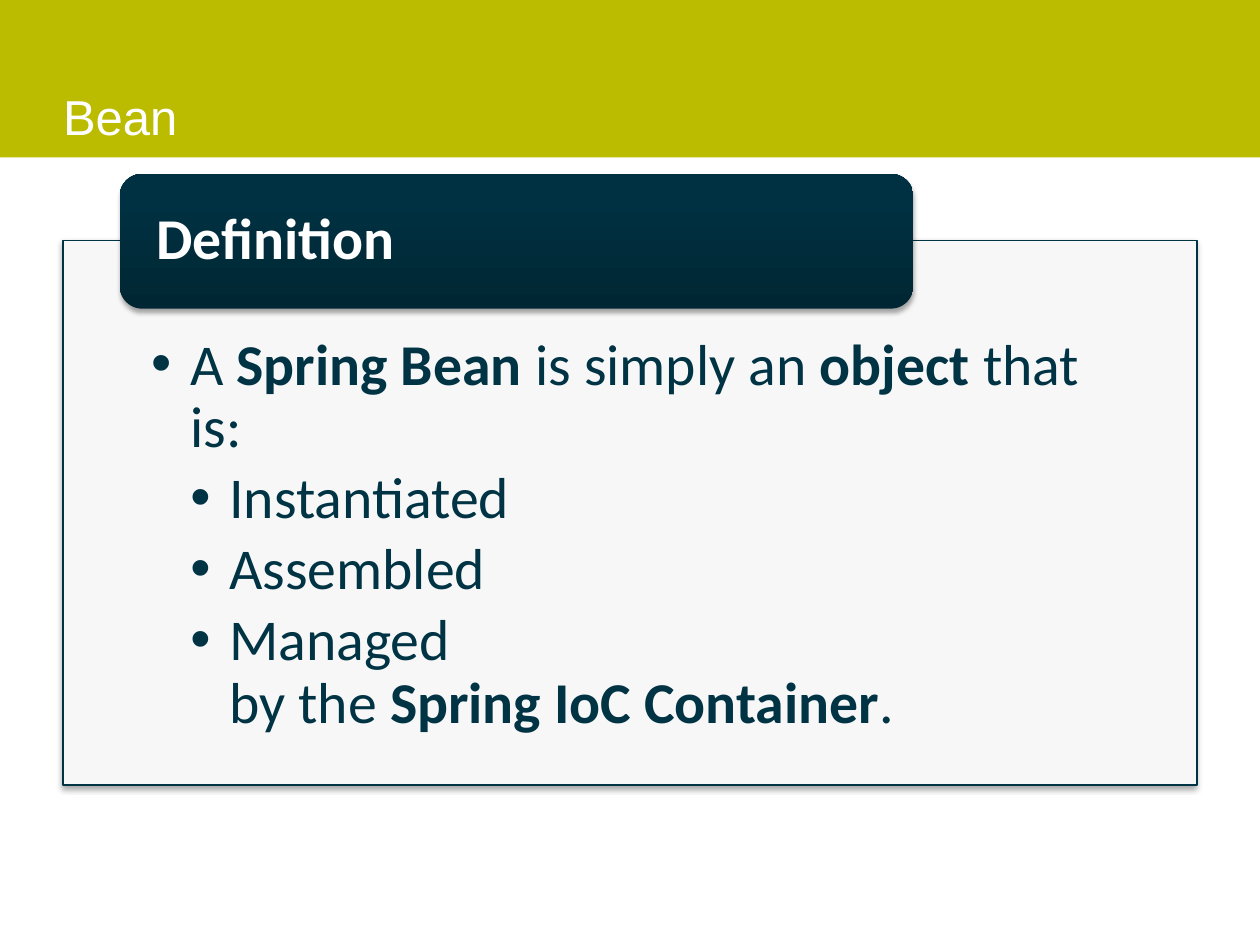
"""Build the slide that defines a Spring Bean."""
from pptx import Presentation
from pptx.dml.color import RGBColor
from pptx.enum.shapes import MSO_SHAPE as Shape
from pptx.enum.text import MSO_ANCHOR as Anchor, MSO_AUTO_SIZE as Auto, PP_ALIGN as Align
from pptx.oxml import parse_xml
from pptx.oxml.ns import nsdecls
from pptx.util import Inches, Pt

TITLE = "Bean"
HEAD = "Definition"
POINTS = [
    (0, "A *Spring Bean* is simply an *object* that is:"),
    (1, "Instantiated"),
    (1, "Assembled"),
    (1, "Managed\nby the *Spring IoC Container*."),
]
OLIVE, NAVY, WHITE, PALE = "BBBB00", "003344", "FFFFFF", "F7F7F7"
DARK, DEEP = "002633", "003142"
PANEL = (0.5, 1.91, 9, 4.32)
STEP = 0.31


def paint(target, color):
    target.rgb = RGBColor.from_string(color)


def place(shape, box):
    shape.left, shape.top, shape.width, shape.height = map(Inches, box)


def add_box(slide, kind, box, color):
    shape = slide.shapes.add_shape(kind, *map(Inches, box))
    shape.shadow.inherit = False
    shape.fill.solid()
    paint(shape.fill.fore_color, color)
    shape.line.fill.background()
    return shape


def add_shadow(shape):
    shape._element.spPr.find("{*}effectLst").append(parse_xml(
        f'<a:outerShdw {nsdecls("a")} blurRad="{Pt(3.1)}" dist="{Pt(1.8)}" dir="5400000" '
        'rotWithShape="0"><a:srgbClr val="000000"><a:alpha val="35000"/></a:srgbClr></a:outerShdw>'))


def set_frame(frame, anchor, insets):
    frame.word_wrap, frame.auto_size = True, Auto.NONE
    frame.vertical_anchor = anchor
    sides = map(Inches, insets)
    frame.margin_left, frame.margin_top, frame.margin_right, frame.margin_bottom = sides


def style(run, size, face, color, bold=False):
    run.font.size, run.font.name, run.font.bold = Pt(size), face, bold
    paint(run.font.color, color)


def add_point(para, level, text):
    para.level, para.line_spacing = level, 0.9
    para.space_before, para.space_after = Pt(0), Pt(5)
    para.alignment = Align.LEFT
    props = para._p.get_or_add_pPr()
    props.set("marL", str(Inches(STEP * (level + 1))))
    props.set("indent", str(-Inches(STEP)))
    props.append(parse_xml(f'<a:buChar {nsdecls("a")} char="•"/>'))
    for i, part in enumerate(text.split("*")):
        for j, line in enumerate(part.split("\n")):
            if j:
                para.add_line_break()
            run = para.add_run()
            run.text = line
            style(run, 33, "Calibri", NAVY, i % 2 == 1)


def main():
    deck = Presentation()
    deck.slide_width, deck.slide_height = Inches(10), Inches(7.5)
    slide = deck.slides.add_slide(deck.slide_layouts[1])
    title, body = slide.placeholders

    band = add_box(slide, Shape.RECTANGLE, (0, 0, 10, 1.25), OLIVE)
    title._element.addprevious(band._element)
    place(title, (0.5, 0.2, 9, 0.95))
    title.text_frame.text = TITLE
    set_frame(title.text_frame, Anchor.BOTTOM, (0, 0, 0, 0))
    para = title.text_frame.paragraphs[0]
    para.alignment = Align.LEFT
    style(para.runs[0], 28, "Arial", WHITE)

    panel = add_box(slide, Shape.RECTANGLE, PANEL, PALE)
    paint(panel.line.color, NAVY)
    panel.line.width = Pt(0.75)
    add_shadow(panel)
    body._element.addprevious(panel._element)
    place(body, PANEL)
    frame = body.text_frame
    set_frame(frame, Anchor.TOP, (0.7, 0.75, 0.7, 0.26))
    for i, point in enumerate(POINTS):
        add_point(frame.add_paragraph() if i else frame.paragraphs[0], *point)

    tab = add_box(slide, Shape.ROUNDED_RECTANGLE, (0.95, 1.38, 6.3, 1.07), DARK)
    tab.fill.gradient()
    tab.fill.gradient_angle = 90
    for stop, color, spot in zip(tab.fill.gradient_stops, (DARK, DEEP), (0, 0.8)):
        paint(stop.color, color)
        stop.position = spot
    add_shadow(tab)
    set_frame(tab.text_frame, Anchor.MIDDLE, (0.24, 0, 0.24, 0))
    tab.text_frame.text = HEAD
    para = tab.text_frame.paragraphs[0]
    para.alignment, para.line_spacing = Align.LEFT, 0.9
    style(para.runs[0], 33, "Calibri", WHITE, True)

    deck.save("out.pptx")


if __name__ == "__main__":
    main()
